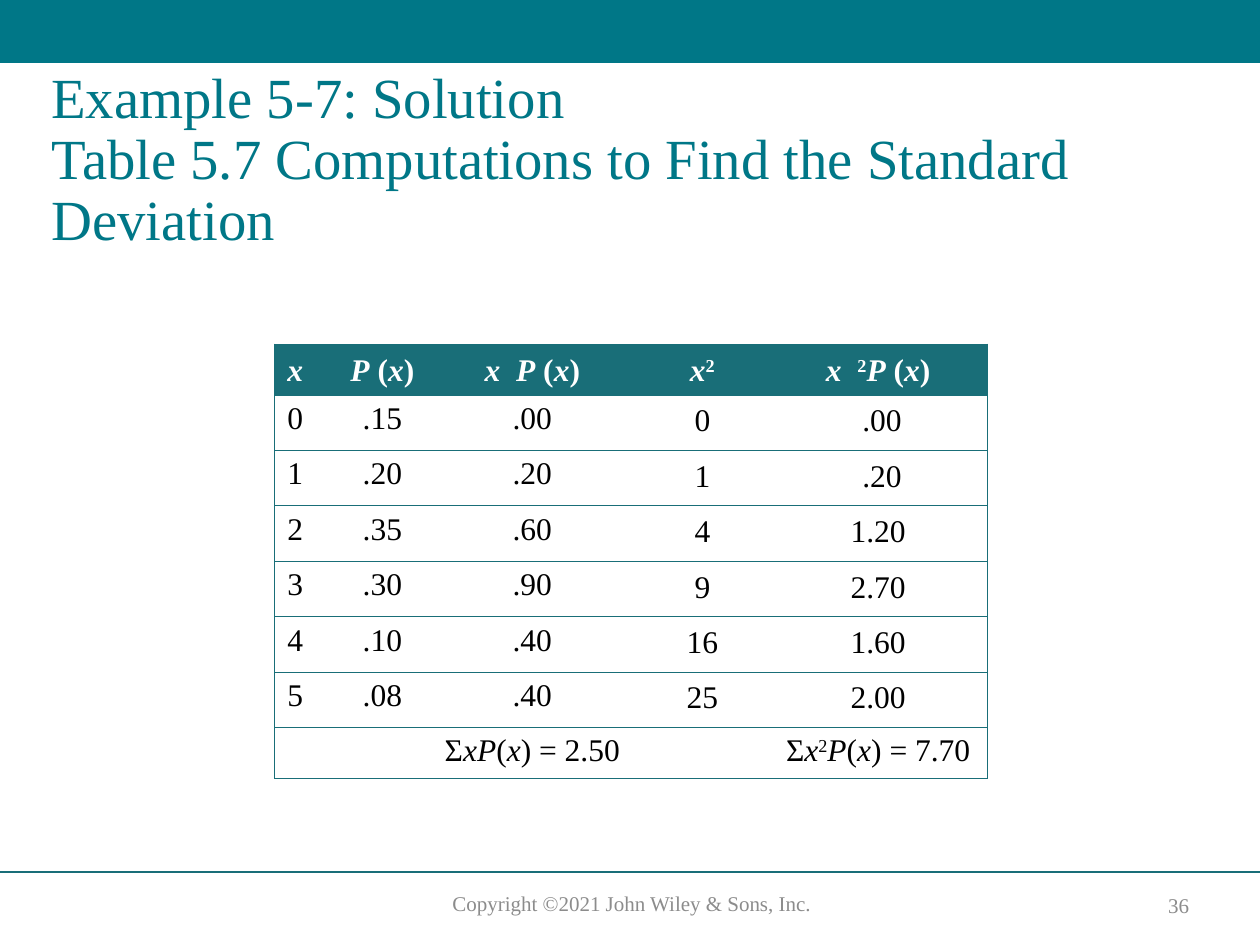
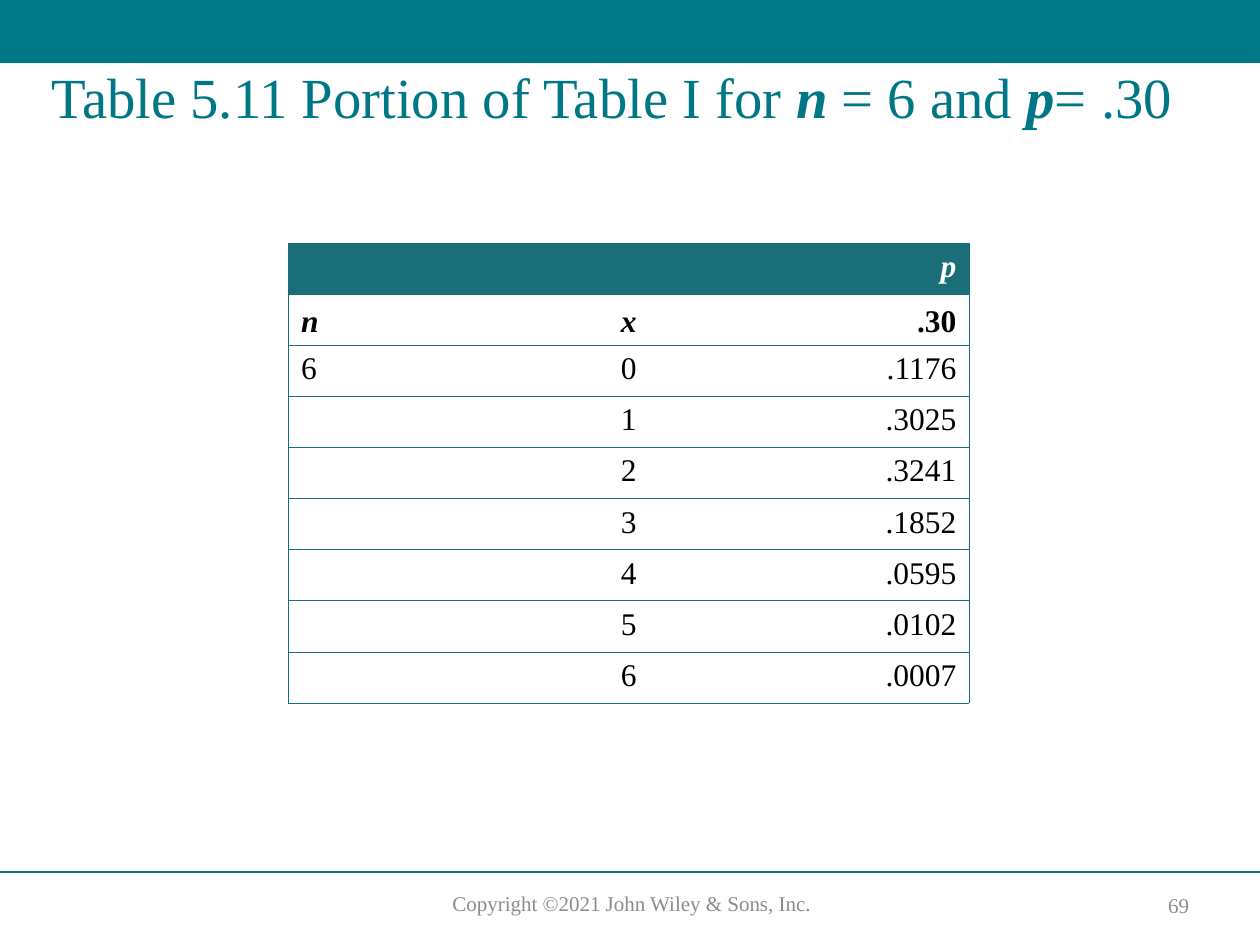
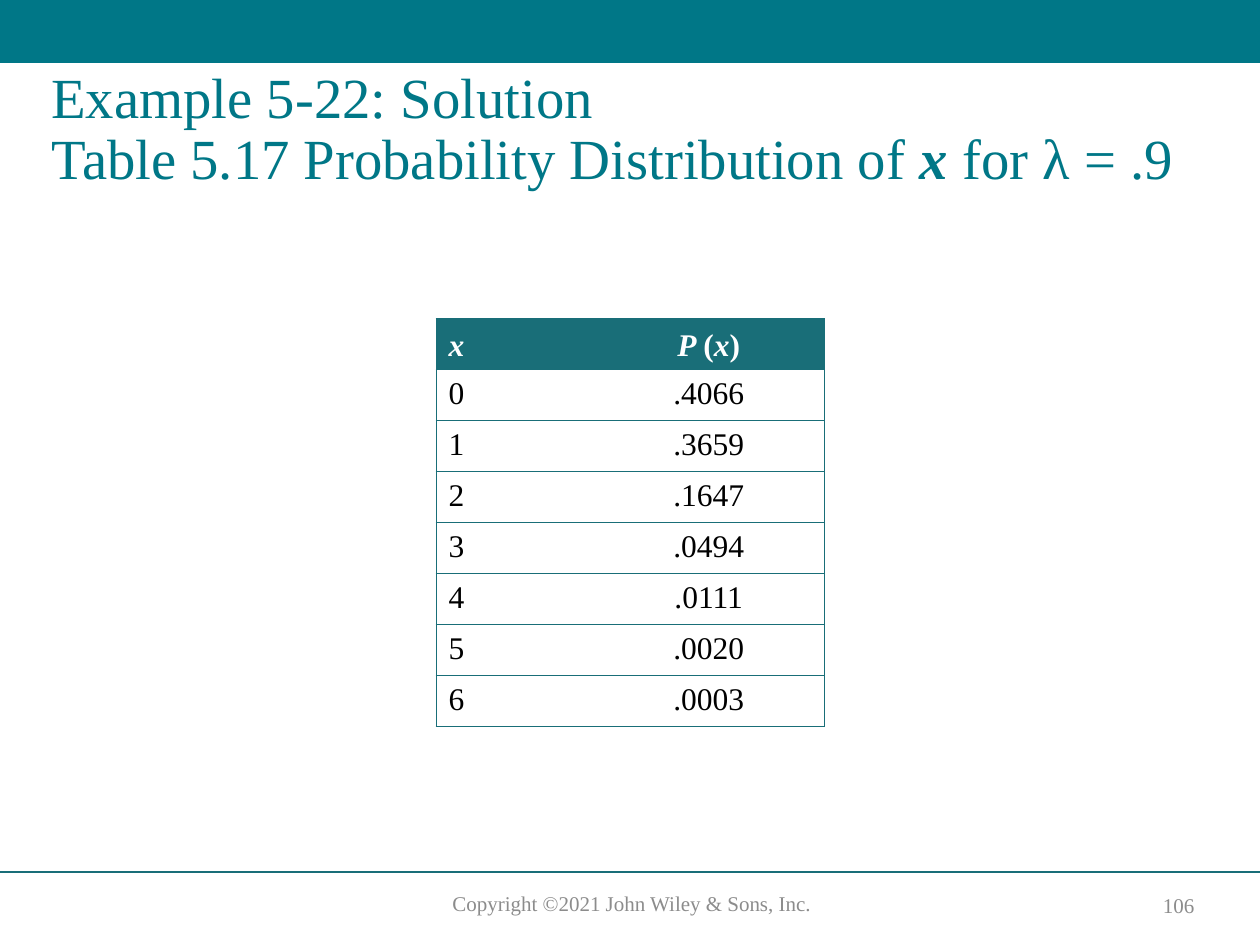
from lxml.etree import SubElement
from pptx import Presentation
from pptx.dml.color import RGBColor
from pptx.enum.shapes import MSO_CONNECTOR, MSO_SHAPE
from pptx.enum.text import MSO_ANCHOR, PP_ALIGN
from pptx.oxml.ns import qn
from pptx.util import Inches, Pt

FONT = "Times New Roman"
TEAL = RGBColor(0x00, 0x77, 0x87)
DARK_TEAL = RGBColor(0x19, 0x6E, 0x78)
GRAY = RGBColor(0x8C, 0x8C, 0x8C)
WHITE = RGBColor(0xFF, 0xFF, 0xFF)
BLACK = RGBColor(0x00, 0x00, 0x00)
NO_STYLE = "{2D5ABB26-0587-4C30-8999-92F81FD0307C}"
ALIGN = {"l": PP_ALIGN.LEFT, "c": PP_ALIGN.CENTER, "r": PP_ALIGN.RIGHT}
COPYRIGHT = "Copyright ©2021 John Wiley & Sons, Inc."

# In texts, * switches bold, _ switches italic and ^ switches superscript
SLIDES = [
    {
        "number": "36",
        "title": "Example 5-7: Solution\nTable 5.7 Computations to Find the Standard Deviation",
        "title_height": 1.44,
        "at": (2.18, 2.73), "height": 3.24,
        "cols": [0.49, 0.73, 1.65, 1.05, 1.74], "align": "lcccc",
        "bottom_row": 0, "deep_cols": (3, 4), "total": True,
        "rows": [
            ("*_x_", "*_P_ (_x_)", "*_x  P_ (_x_)", "*_x_^2^", "*_x  _^2^_P_ (_x_)"),
            ("0", ".15", ".00", "0", " .00"),
            ("1", ".20", ".20", "1", " .20"),
            ("2", ".35", ".60", "4", "1.20"),
            ("3", ".30", ".90", "9", "2.70"),
            ("4", ".10", ".40", "16", "1.60"),
            ("5", ".08", ".40", "25", "2.00"),
            ("", "", "Σ_xP_(_x_) = 2.50", "", "Σ_x_^2^_P_(_x_) = 7.70"),
        ],
    },
    {
        "number": "69",
        "title": "Table 5.11 Portion of Table I for *_n_* = 6 and *_p_*= .30",
        "title_height": 1.08,
        "at": (2.29, 1.93), "height": 3.65,
        "cols": [1.8, 1.8, 1.8], "align": "lcr",
        "bottom_row": 1, "deep_cols": (), "total": False,
        "rows": [
            ("", "", "*_p_"),
            ("*_n_", "*_x_", "*.30"),
            ("6", "0", ".1176"),
            ("", "1", ".3025"),
            ("", "2", ".3241"),
            ("", "3", ".1852"),
            ("", "4", ".0595"),
            ("", "5", ".0102"),
            ("", "6", ".0007"),
        ],
    },
    {
        "number": "106",
        "title": "Example 5-22: Solution\nTable 5.17 Probability Distribution of *_x_* for λ = .9",
        "title_height": 1.08,
        "at": (3.46, 2.53), "height": 3.24,
        "cols": [1.25, 1.83], "align": "lc",
        "bottom_row": 0, "deep_cols": (), "total": False,
        "rows": [
            ("*_x_", "*_P _(_x_)"),
            ("0", ".4066"),
            ("1", ".3659"),
            ("2", ".1647"),
            ("3", ".0494"),
            ("4", ".0111"),
            ("5", ".0020"),
            ("6", ".0003"),
        ],
    },
]


def split_runs(text):
    """Yield each piece of marked text with the set of marks that apply to it."""
    marks, piece = set(), ""
    for char in text:
        if char in "*_^\n":
            if piece:
                yield piece, set(marks)
            piece = ""
            if char == "\n":
                yield char, set()
            else:
                marks ^= {char}
        else:
            piece += char
    if piece:
        yield piece, set(marks)


def write(tf, text, size=18, color=BLACK, align="l", line=None, after=None):
    p = tf.paragraphs[0]
    p.alignment = ALIGN[align]
    if line:
        p.line_spacing = line
    if after:
        p.space_after = Pt(after)
    for piece, marks in split_runs(text):
        if piece == "\n":
            p.add_line_break()
            continue
        r = p.add_run()
        r.text = piece
        r.font.name, r.font.size = FONT, Pt(size)
        r.font.color.rgb = color
        r.font.bold = "*" in marks
        r.font.italic = "_" in marks
        if "^" in marks:
            r.font._element.set("baseline", "30000")


def add_text(s, box, text, anchor=MSO_ANCHOR.TOP, **fmt):
    tf = s.shapes.add_textbox(*map(Inches, box)).text_frame
    tf.word_wrap = True
    tf.vertical_anchor = anchor
    write(tf, text, **fmt)


def add_frame(s, number):
    # Top band
    band = s.shapes.add_shape(MSO_SHAPE.RECTANGLE, 0, 0, Inches(10), Inches(0.5))
    band.shadow.inherit = False
    band.fill.solid()
    band.fill.fore_color.rgb = TEAL
    band.line.fill.background()
    # Footer rule, copyright and slide number
    rule = s.shapes.add_connector(
        MSO_CONNECTOR.STRAIGHT, 0, Inches(6.92), Inches(10), Inches(6.92))
    rule.line.color.rgb = DARK_TEAL
    rule.line.width = Pt(1)
    SubElement(rule._element.spPr, qn("a:effectLst"))
    add_text(s, (3.22, 7.02, 3.59, 0.3), COPYRIGHT, size=12, color=GRAY, align="c")
    add_text(s, (9.05, 7.04, 0.61, 0.28), number, MSO_ANCHOR.MIDDLE,
             size=12, color=GRAY, align="c")


def set_borders(cell, sides):
    tc_pr = cell._tc.get_or_add_tcPr()
    for side in sides:
        ln = SubElement(tc_pr, qn("a:ln" + side), w=str(Pt(0.5)))
        fill = SubElement(ln, qn("a:solidFill"))
        SubElement(fill, qn("a:srgbClr"), val=str(DARK_TEAL))


def add_data_table(s, data):
    rows, cols = data["rows"], data["cols"]
    left, top = data["at"]
    frame = s.shapes.add_table(len(rows), len(cols), Inches(left), Inches(top),
                               Inches(sum(cols)), Inches(data["height"]))
    table = frame.table
    table.first_row = table.horz_banding = False
    table._tbl.tblPr.find(qn("a:tableStyleId")).text = NO_STYLE
    for column, width in zip(table.columns, cols):
        column.width = Inches(width)
    last_row, last_col = len(rows) - 1, len(cols) - 1
    for i, row in enumerate(rows):
        is_total = data["total"] and i == last_row
        is_body = i > data["bottom_row"] and not is_total
        for j, text in enumerate(row):
            cell = table.cell(i, j)
            # Rules between rows, and an outline left and right
            set_borders(cell, "L" * (j == 0) + "R" * (j == last_col) + "TB")
            if i == 0:
                cell.fill.solid()
                cell.fill.fore_color.rgb = DARK_TEAL
            else:
                cell.fill.background()
            if i == data["bottom_row"]:
                cell.vertical_anchor = MSO_ANCHOR.BOTTOM
            if is_body and j in data["deep_cols"]:
                cell.margin_left = cell.margin_right = Inches(0.08)
                cell.margin_top = cell.margin_bottom = Inches(0.07)
            write(cell.text_frame, text, color=BLACK if i else WHITE,
                  align=data["align"][j], after=3 if is_body else None)


def main():
    prs = Presentation()
    prs.slide_width, prs.slide_height = Inches(10), Inches(7.5)
    for data in SLIDES:
        s = prs.slides.add_slide(prs.slide_layouts[6])
        add_frame(s, data["number"])
        add_text(s, (0.31, 0.5, 9.33, data["title_height"]), data["title"],
                 size=32.4, color=TEAL, line=0.9)
        add_data_table(s, data)
    prs.save("out.pptx")


if __name__ == "__main__":
    main()
